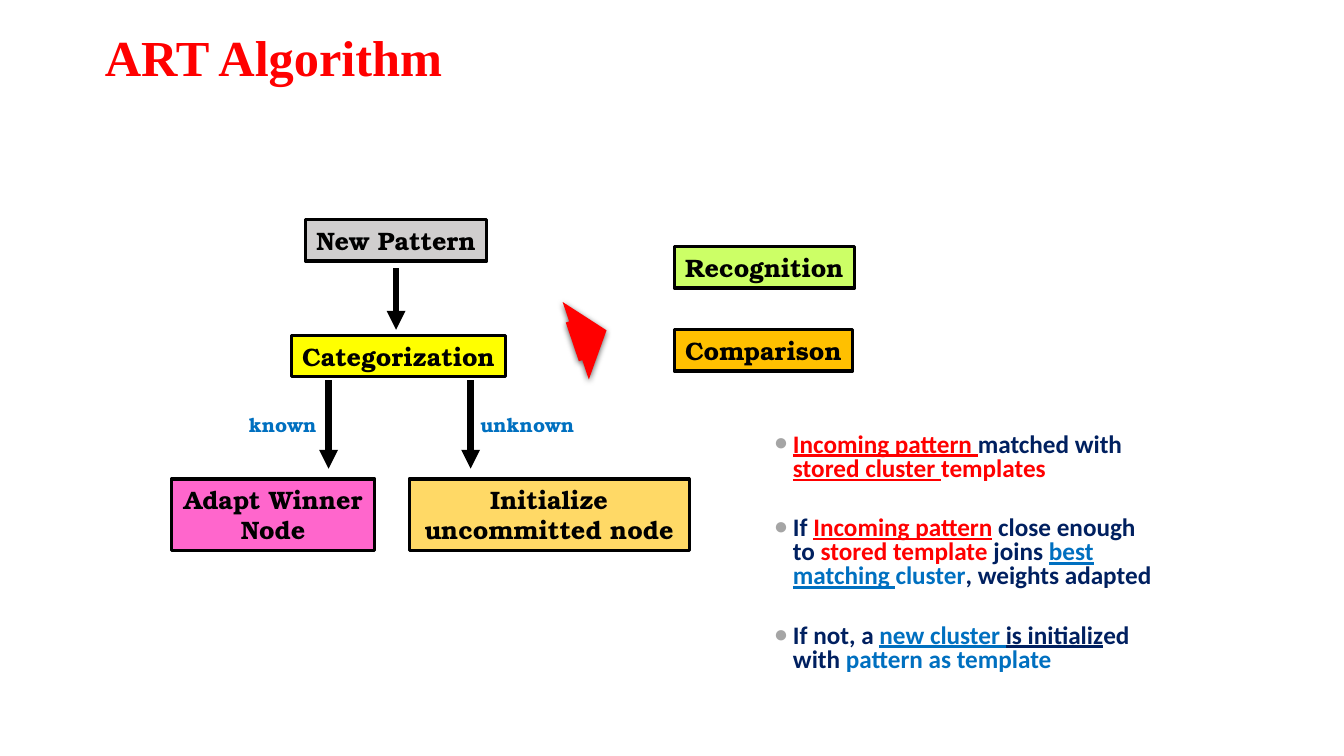
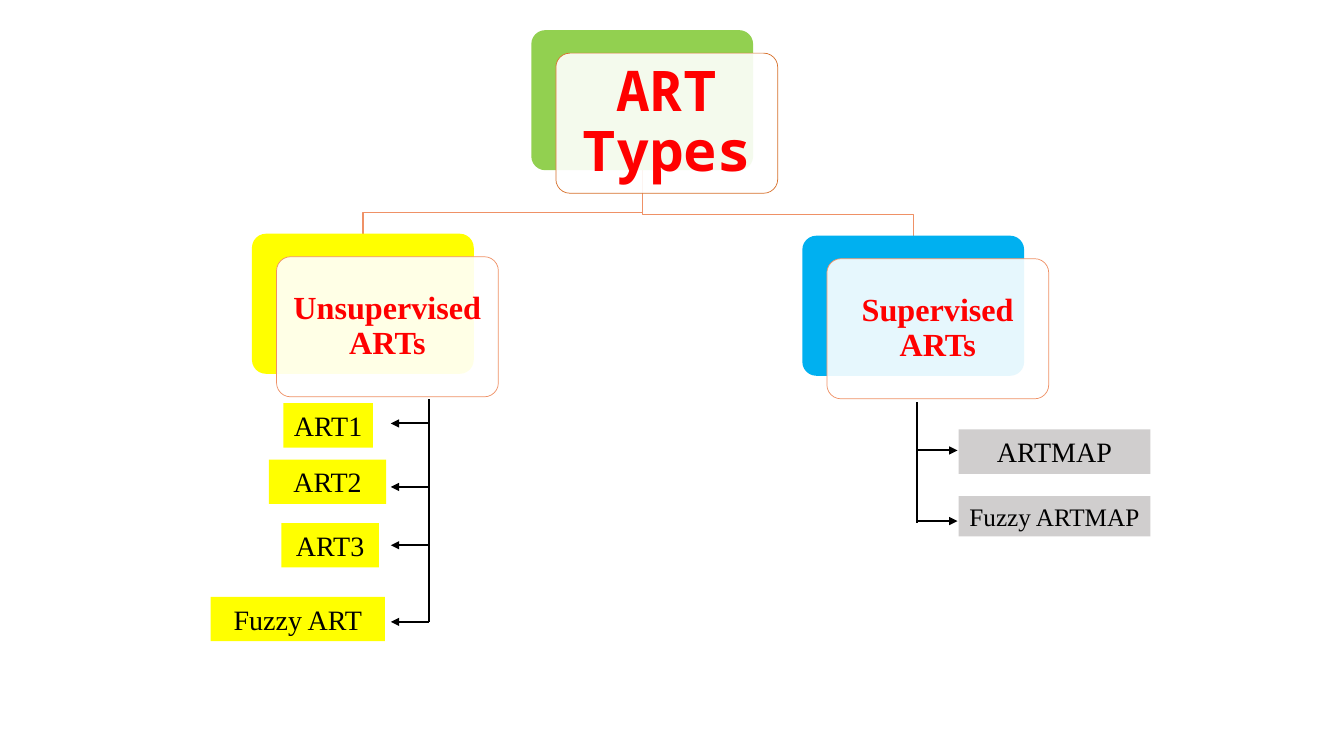
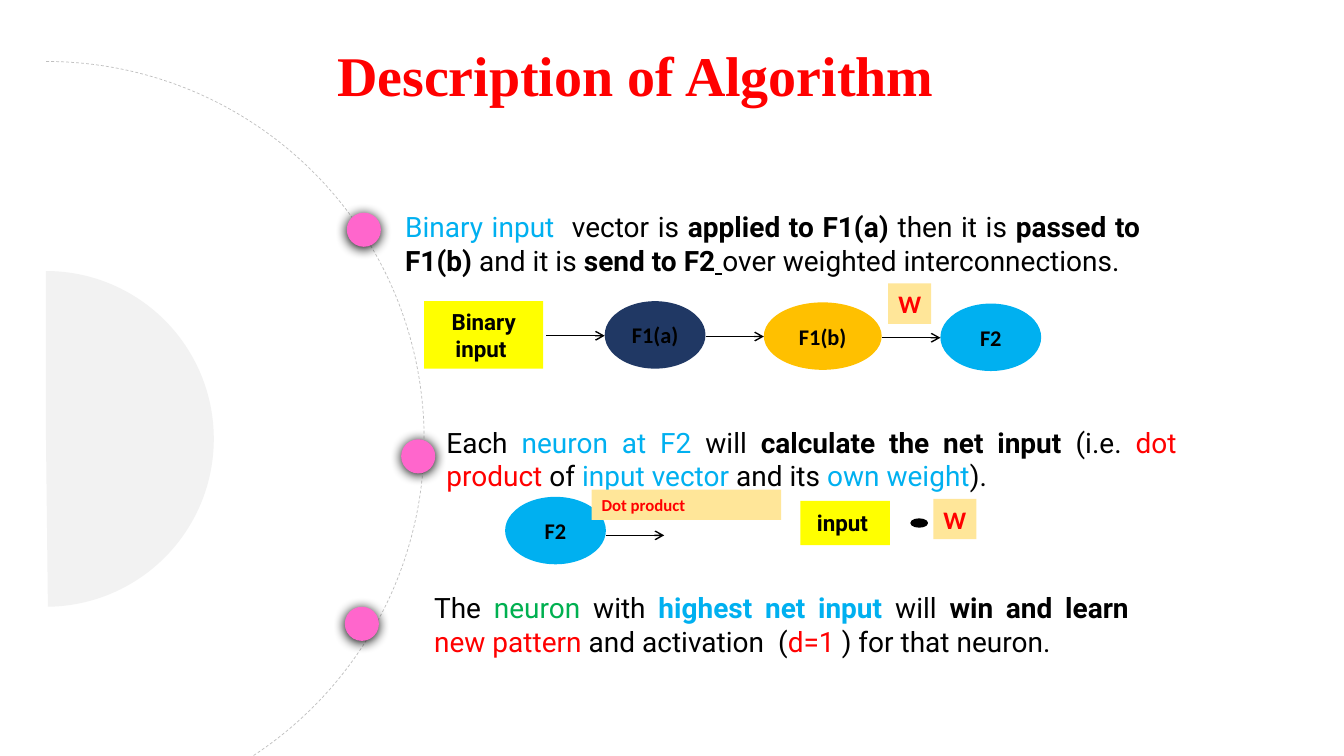
from lxml.etree import SubElement
from pptx import Presentation
from pptx.dml.color import RGBColor
from pptx.enum.dml import MSO_LINE
from pptx.enum.shapes import MSO_CONNECTOR, MSO_SHAPE as Kind
from pptx.enum.text import MSO_ANCHOR, MSO_AUTO_SIZE, PP_ALIGN as Align
from pptx.oxml.ns import qn
from pptx.util import Cm, Pt

RED, BLACK, WHITE, NAVY, BLUE = "FF0000", "000000", "FFFFFF", "002060", "0070C0"
YELLOW, PINK, SKY, GREY, AMBER = "FFFF00", "FF66CC", "00B0F0", "D0CECE", "FFC000"
CREAM, GREEN, CORAL = "FFE699", "00B050", "EF9166"
SERIF, SLAB, SANS, ROBOTO, MONO = (
    "Times New Roman", "TeX Gyre Bonum", "Calibri", "Roboto", "Noto Sans Mono")
TITLE_AND_BODY, TITLE_ONLY, BLANK = 1, 5, 6


def rgb(value):
    return RGBColor.from_string(value)


def add_xml(parent, tag, **attributes):
    return SubElement(parent, qn(tag), {k: str(v) for k, v in attributes.items()})


def style_run(run, font, size, color, marks=""):
    """Format a run; marks holds b for bold and u for underline."""
    run.font.name, run.font.size = font, Pt(size)
    run.font.color.rgb = rgb(color)
    run.font.bold, run.font.underline = "b" in marks, "u" in marks


def add_runs(paragraph, pieces, font, size):
    for text, color, marks in pieces:
        run = paragraph.add_run()
        run.text = text
        style_run(run, font, size, color, marks)


class Deck:
    """The presentation, its common style and the slide being filled."""

    def __init__(self):
        self.prs = Presentation()
        self.prs.slide_width, self.prs.slide_height = Cm(33.87), Cm(19.05)
        self.slide = None

    def new_slide(self, layout):
        self.slide = self.prs.slides.add_slide(self.prs.slide_layouts[layout])

    def place(self, holder, box):
        holder.left, holder.top, holder.width, holder.height = map(Cm, box)
        holder.text_frame.auto_size = MSO_AUTO_SIZE.NONE

    def title(self, text, box, size):
        holder = self.slide.shapes.title
        self.place(holder, box)
        self.label(holder, text, SERIF, size, RED, "b", wrap=True, spacing=0.9)

    def label(self, shape, text, font, size, color=BLACK, marks="",
              align=Align.CENTER, wrap=False, spacing=1.0):
        frame = shape.text_frame
        frame.text = text
        frame.word_wrap = wrap
        frame.vertical_anchor = MSO_ANCHOR.MIDDLE
        paragraph = frame.paragraphs[0]
        paragraph.alignment, paragraph.line_spacing = align, spacing
        style_run(paragraph.runs[0], font, size, color, marks)

    def shape(self, kind, box, fill, line=None, width=1, adjust=()):
        shape = self.slide.shapes.add_shape(kind, *map(Cm, box))
        shape.shadow.inherit = False
        for index, value in enumerate(adjust):
            shape.adjustments[index] = value
        shape.fill.solid()
        shape.fill.fore_color.rgb = rgb(fill)
        if line:
            shape.line.color.rgb = rgb(line)
            shape.line.width = Pt(width)
        else:
            shape.line.fill.background()
        return shape

    def drop_shadow(self, shape, opacity, blur, distance):
        effects = shape._element.spPr.find(qn("a:effectLst"))
        outer = add_xml(effects, "a:outerShdw", blurRad=Pt(blur), dist=Pt(distance),
                        dir=5400000, algn="ctr", rotWithShape=0)
        color = add_xml(outer, "a:srgbClr", val=BLACK)
        add_xml(color, "a:alpha", val=opacity * 1000)

    def step(self, text, box, fill, wrap=False):
        """Outlined box of the flow chart."""
        shape = self.shape(Kind.RECTANGLE, box, fill, BLACK, 2.25)
        self.label(shape, text, SLAB, 18, marks="b", wrap=wrap)

    def tag(self, text, box, fill, font, size, color=BLACK, marks="b",
            kind=Kind.RECTANGLE, **layout):
        """Filled shape without outline, holding a short text."""
        self.label(self.shape(kind, box, fill), text, font, size, color, marks, **layout)

    def caption(self, text, box):
        holder = self.slide.shapes.add_textbox(*map(Cm, box))
        self.label(holder, text, SLAB, 14, BLUE, "b")

    def line(self, start, end, width, head=None):
        link = self.slide.shapes.add_connector(
            MSO_CONNECTOR.STRAIGHT, *map(Cm, start + end))
        link.line.color.rgb = rgb(BLACK)
        link.line.width = Pt(width)
        if head:
            add_xml(link.line._get_or_add_ln(), "a:tailEnd", type=head)
        add_xml(link._element.spPr, "a:effectLst")

    def card(self, text, left, top, fill, outline=CORAL, font=SERIF, size=23, inset=0.25):
        """Coloured card with a translucent one in front."""
        self.shape(Kind.ROUNDED_RECTANGLE, (left, top, *CARD), fill, adjust=[0.1])
        front = self.shape(Kind.ROUNDED_RECTANGLE, (left + 0.62, top + 0.58, *CARD),
                           WHITE, outline, 0.5, [0.1])
        color = front._element.spPr.find(qn("a:solidFill"))[0]
        add_xml(color, "a:alpha", val=90000)
        frame = front.text_frame
        frame.margin_left = frame.margin_right = Cm(inset)
        frame.margin_top = frame.margin_bottom = Cm(inset)
        self.label(front, text, font, size, RED, "b", wrap=True, spacing=0.9)

    def branch(self, parent, child):
        """Elbow from the bottom of one card to the top of another."""
        x, y = parent[0] + CARD[0] / 2, parent[1] + CARD[1]
        end_x, end_y = child[0] + CARD[0] / 2, child[1]
        knee = end_y - 0.53
        builder = self.slide.shapes.build_freeform(Cm(x), Cm(y))
        points = (x, knee), (end_x, knee), (end_x, end_y)
        builder.add_line_segments([(Cm(a), Cm(b)) for a, b in points], close=False)
        elbow = builder.convert_to_shape()
        elbow.shadow.inherit = False
        elbow.fill.background()
        elbow.line.color.rgb = rgb(CORAL)
        elbow.line.width = Pt(1)

    def bullets(self, items, box):
        body = self.slide.placeholders[1]
        self.place(body, box)
        for index, pieces in enumerate(items):
            frame = body.text_frame
            paragraph = frame.add_paragraph() if index else frame.paragraphs[0]
            paragraph.line_spacing = 0.8
            paragraph.space_before = Pt(25 if index else 0)
            props = paragraph._p.get_or_add_pPr()
            props.set("marL", str(Cm(0.48)))
            props.set("indent", str(-Cm(0.48)))
            add_xml(add_xml(props, "a:buClr"), "a:srgbClr", val="A5A5A5")
            add_xml(props, "a:buSzPct", val=95000)
            add_xml(props, "a:buChar", char="●")
            add_runs(paragraph, pieces, SANS, 18)

    def statement(self, pieces, box):
        """Justified paragraph."""
        frame = self.slide.shapes.add_textbox(*map(Cm, box)).text_frame
        frame.word_wrap = True
        frame.paragraphs[0].alignment = Align.JUSTIFY
        add_runs(frame.paragraphs[0], pieces, ROBOTO, 20)


CARD = (5.59, 3.53)


def build_flow(deck):
    deck.new_slide(TITLE_AND_BODY)
    for x, top, bottom in ((8.28, 9.58, 11.81), (11.86, 9.58, 11.81), (9.98, 6.76, 8.31)):
        deck.line((x, top), (x, bottom), 4.5, "triangle")
    deck.step("Adapt Winner Node", (4.32, 12.07, 5.13, 1.8), PINK, wrap=True)
    deck.step("Initialize uncommitted node", (10.31, 12.07, 7.06, 1.8), "FFD966", wrap=True)
    deck.step("New Pattern", (7.7, 5.54, 4.57, 1.04), GREY)
    deck.step("Categorization", (7.34, 8.46, 5.41, 1.04), YELLOW)
    deck.step("Recognition", (16.99, 6.22, 4.55, 1.04), "CCFF66")
    deck.step("Comparison", (16.99, 8.31, 4.5, 1.04), AMBER)
    deck.caption("known", (6.02, 10.26, 2.21, 0.86))
    deck.caption("unknown", (11.84, 10.26, 2.9, 0.86))
    pointer = deck.shape(Kind.RIGHT_ARROW, (14.4, 7.44, 0.91, 2.06), RED, adjust=[0.5, 0.9])
    pointer.rotation = 341.3
    deck.drop_shadow(pointer, 63, 4.5, 1.5)
    deck.bullets([
        [("Incoming pattern ", RED, "bu"), ("matched with ", NAVY, "b"),
         ("stored cluster ", RED, "bu"), ("templates", RED, "b")],
        [("If ", NAVY, "b"), ("Incoming pattern", RED, "bu"),
         (" close enough to ", NAVY, "b"), ("stored template", RED, "b"),
         (" joins ", NAVY, "b"), ("best matching ", BLUE, "bu"),
         ("cluster", BLUE, "b"), (", weights adapted", NAVY, "b")],
        [("If not, a ", NAVY, "b"), ("new cluster ", BLUE, "bu"),
         ("is initializ", NAVY, "bu"), ("ed with ", NAVY, "b"),
         ("pattern as template", BLUE, "b")],
    ], (19.25, 10.8, 10.16, 6.12))
    deck.title("ART Algorithm", (0.89, 0.58, 12.01, 1.88), 36)


def build_types(deck):
    deck.new_slide(BLANK)
    root, unsupervised, supervised = (13.39, 0.76), (6.35, 5.89), (20.22, 5.94)
    for child in (supervised, unsupervised):
        deck.branch(root, child)
    deck.card("ART Types", *root, "92D050", "D7712C", MONO, 40, 0.43)
    deck.card("Unsupervised ARTs", *unsupervised, YELLOW)
    deck.card("Supervised ARTs", *supervised, SKY)

    trunk = 10.8
    deck.line((trunk, 10.06), (trunk, 15.67), 1.5)
    for name, left, top, width, twig in (
            ("ART1", 7.14, 10.16, 2.26, 10.67), ("ART2", 6.78, 11.58, 2.95, 12.27),
            ("ART3", 7.09, 13.18, 2.46, 13.74), ("Fuzzy ART", 5.31, 15.04, 4.39, 15.67)):
        deck.line((trunk, twig), (9.85, twig), 1.5, "triangle")
        deck.tag(name, (left, top, width, 1.12), YELLOW, SERIF, 20, marks="")

    trunk = 23.11
    deck.line((trunk, 10.13), (trunk, 13.18), 1.5)
    for name, top, height, size, twig in (
            ("ARTMAP", 10.82, 1.12, 20, 11.35), ("Fuzzy ARTMAP", 12.5, 1.02, 18, 13.13)):
        deck.line((trunk, twig), (24.13, twig), 1.5, "triangle")
        deck.tag(name, (24.16, top, 4.83, height), GREY, SERIF, size, marks="")


def build_description(deck):
    deck.new_slide(TITLE_ONLY)
    deck.title("Description of Algorithm", (7.72, 0.38, 16.59, 3.18), 40)
    orbit = deck.shape(Kind.ARC, (-8.36, 1.55, 19.05, 19.05), WHITE, "BFBFBF", 0.5,
                       [162, 53.71])
    orbit.line.dash_style = MSO_LINE.DASH
    deck.shape(Kind.ARC, (-3.07, 6.83, 8.46, 8.46), "F2F2F2", adjust=[162, 53.6])

    deck.statement([
        ("Binary input  ", SKY, ""), ("vector is ", BLACK, ""),
        ("applied to F1(a) ", BLACK, "b"), ("then it is ", BLACK, ""),
        ("passed to F1(b) ", BLACK, "b"), ("and it is ", BLACK, ""),
        ("send to F2", BLACK, "b"), (" ", BLACK, "u"),
        ("over weighted interconnections.", BLACK, ""),
    ], (9.96, 5.16, 19.02, 1.96))
    deck.statement([
        ("Each ", BLACK, ""), ("neuron at F2 ", SKY, ""), ("will ", BLACK, ""),
        ("calculate the net input ", BLACK, "b"), ("(i.e. ", BLACK, ""),
        ("dot product ", RED, ""), ("of ", BLACK, ""), ("input vector ", SKY, ""),
        ("and its ", BLACK, ""), ("own weight", SKY, ""), (").", BLACK, ""),
    ], (11, 10.59, 18.9, 1.96))
    deck.statement([
        ("The ", BLACK, ""), ("neuron ", GREEN, ""), ("with ", BLACK, ""),
        ("highest net input ", SKY, "b"), ("will ", BLACK, ""),
        ("win and learn ", BLACK, "b"), ("new pattern", RED, ""),
        (" and activation  (", BLACK, ""), ("d=1", RED, ""),
        (" ) for that neuron.", BLACK, ""),
    ], (10.69, 14.76, 18.01, 1.96))
    for left, top in ((8.74, 5.36), (10.11, 11.07), (8.69, 15.29)):
        marker = deck.shape(Kind.OVAL, (left, top, 0.86, 0.86), PINK)
        deck.drop_shadow(marker, 100, 8.5, 1)

    deck.tag("Binary input ", (10.69, 7.59, 3, 1.7), YELLOW, ROBOTO, 16, wrap=True)
    for name, left, top, width, fill in (
            ("F1(a)", 15.24, 7.59, 2.54, "203864"), ("F1(b)", 19.25, 7.62, 2.97, AMBER),
            ("F2", 23.7, 7.65, 2.54, SKY), ("F2", 12.73, 12.52, 2.54, SKY)):
        deck.tag(name, (left, top, width, 1.7), fill, SANS, 16, kind=Kind.OVAL)
    for left, y in ((13.77, 8.46), (17.78, 8.48), (22.23, 8.51), (15.27, 13.49)):
        deck.line((left, y), (left + 1.47, y), 1, "arrow")
    for left, top in ((22.38, 7.14), (23.52, 12.57)):
        deck.tag("W", (left, top, 1.09, 1.02), CREAM, SANS, 18, RED)
    deck.tag("Dot product", (14.91, 12.34, 4.78, 0.76), CREAM, SANS, 12, RED,
             align=Align.LEFT, wrap=True)
    deck.tag("input ", (20.17, 12.62, 2.26, 1.12), YELLOW, ROBOTO, 16)
    deck.shape(Kind.OVAL, (22.96, 13.08, 0.41, 0.2), BLACK, BLACK)


def main():
    deck = Deck()
    build_flow(deck)
    build_types(deck)
    build_description(deck)
    deck.prs.save("out.pptx")


if __name__ == "__main__":
    main()
